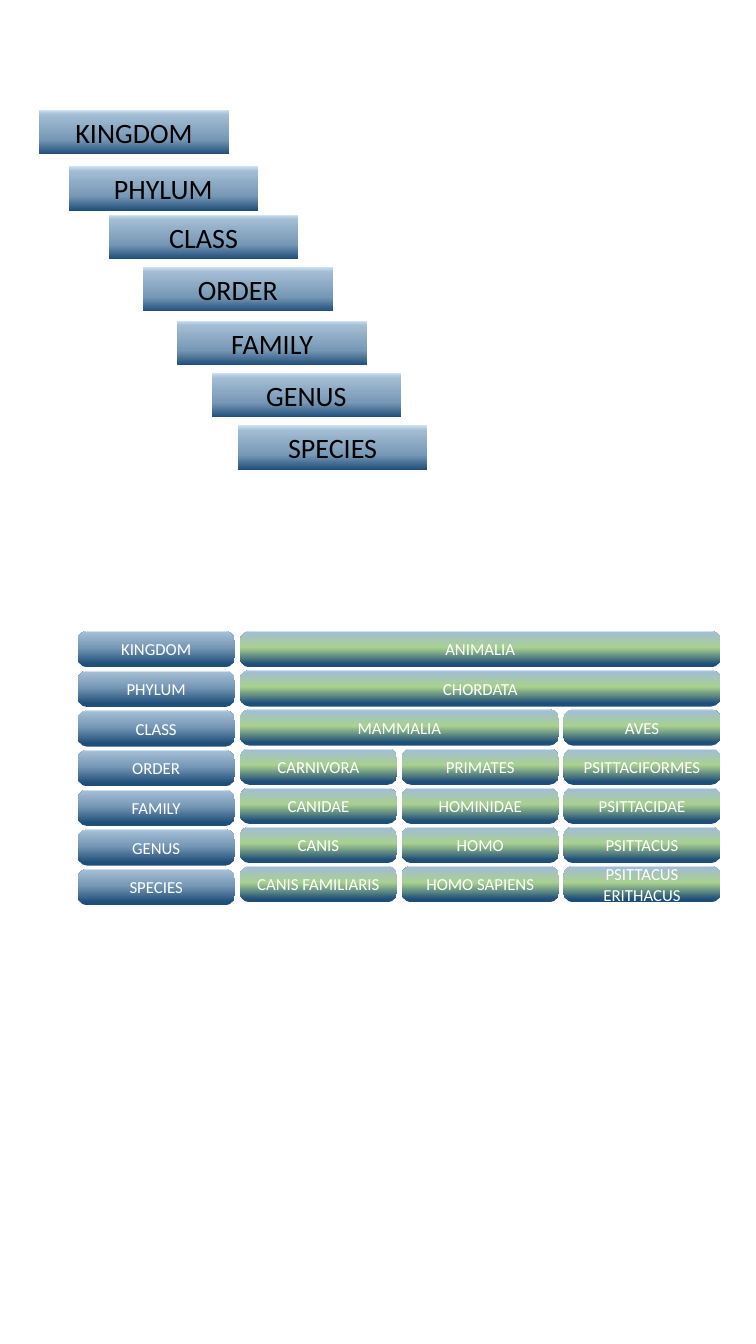
from copy import deepcopy
from pptx import Presentation
from pptx.dml.color import RGBColor
from pptx.enum.shapes import MSO_SHAPE
from pptx.enum.text import MSO_ANCHOR, MSO_AUTO_SIZE, PP_ALIGN
from pptx.util import Inches, Pt

COLORS = {
    "navy": "1F4E79",
    "steel": "7798B6",
    "green": "A9D18E",
    "mist": "A3BDD4",
    "ice": "CEE1F2",
    "black": "000000",
    "white": "FFFFFF",
}
STEP_STOPS = [(0, "navy"), (0.33, "steel"), (0.89, "mist"), (1, "ice")]
RANK_STOPS = [(0.09, "navy"), (0.55, "steel"), (0.96, "mist"), (1, "ice")]
TAXON_STOPS = [(0.09, "navy"), (0.55, "green"), (0.96, "mist"), (1, "ice")]


def add_label(shapes, kind, box, text, stops, size, color):
    label = shapes.add_shape(kind, *[Inches(length) for length in box])
    label.shadow.inherit = False
    label.line.fill.background()
    label.fill.gradient()
    label.fill.gradient_angle = 90
    stop_list = label.fill.gradient_stops[0]._gs.getparent()
    for _ in stops[2:]:
        stop_list.append(deepcopy(stop_list[0]))
    for stop, (position, name) in zip(label.fill.gradient_stops, stops):
        stop.color.rgb = RGBColor.from_string(COLORS[name])
        stop.position = position
    frame = label.text_frame
    frame.word_wrap = True
    frame.vertical_anchor = MSO_ANCHOR.MIDDLE
    frame.text = text
    paragraph = frame.paragraphs[0]
    paragraph.alignment = PP_ALIGN.CENTER
    font = paragraph.runs[0].font
    font.name = "Calibri"
    font.size = Pt(size)
    font.color.rgb = RGBColor.from_string(COLORS[color])
    return label


prs = Presentation()
prs.slide_width = Inches(7.5)
prs.slide_height = Inches(13.33)
slide = prs.slides.add_slide(prs.slide_layouts[6])

ranks = ["KINGDOM", "PHYLUM", "CLASS", "ORDER", "FAMILY", "GENUS", "SPECIES"]
step_corners = [(0.39, 1.09), (0.68, 1.65), (1.08, 2.13), (1.42, 2.65),
                (1.76, 3.18), (2.1, 3.7), (2.36, 4.22)]
for rank, (left, top) in zip(ranks, step_corners):
    step = add_label(slide.shapes, MSO_SHAPE.RECTANGLE, (left, top, 1.88, 0.44),
                     rank, STEP_STOPS, 20, "black")
    step.text_frame.auto_size = MSO_AUTO_SIZE.SHAPE_TO_FIT_TEXT

taxa = [
    [("ANIMALIA", 3)],
    [("CHORDATA", 3)],
    [("MAMMALIA", 2), ("AVES", 1)],
    [("CARNIVORA", 1), ("PRIMATES", 1), ("PSITTACIFORMES", 1)],
    [("CANIDAE", 1), ("HOMINIDAE", 1), ("PSITTACIDAE", 1)],
    [("CANIS", 1), ("HOMO", 1), ("PSITTACUS", 1)],
    [("CANIS FAMILIARIS", 1), ("HOMO SAPIENS", 1), ("PSITTACUS ERITHACUS", 1)],
]
cell_width, cell_height = 1.56, 0.36
chart_top, taxon_left = 6.26, 2.38
column_pitch = 3.21 / 2
rank_pitch, taxon_pitch = 2.36 / 6, 2.33 / 6

rank_group = slide.shapes.add_group_shape()
taxon_group = slide.shapes.add_group_shape()
for row, (rank, row_taxa) in enumerate(zip(ranks, taxa)):
    rank_box = (0.77, chart_top + row * rank_pitch, cell_width, cell_height)
    cells = [add_label(rank_group.shapes, MSO_SHAPE.ROUNDED_RECTANGLE, rank_box,
                       rank, RANK_STOPS, 12, "white")]
    column = 0
    for taxon, span in row_taxa:
        taxon_box = (taxon_left + column * column_pitch, chart_top + row * taxon_pitch,
                     cell_width + (span - 1) * column_pitch, cell_height)
        cells.append(add_label(taxon_group.shapes, MSO_SHAPE.ROUNDED_RECTANGLE, taxon_box,
                               taxon, TAXON_STOPS, 12, "white"))
        column += span
    for cell in cells:
        cell.adjustments[0] = 0.27

prs.save("out.pptx")
